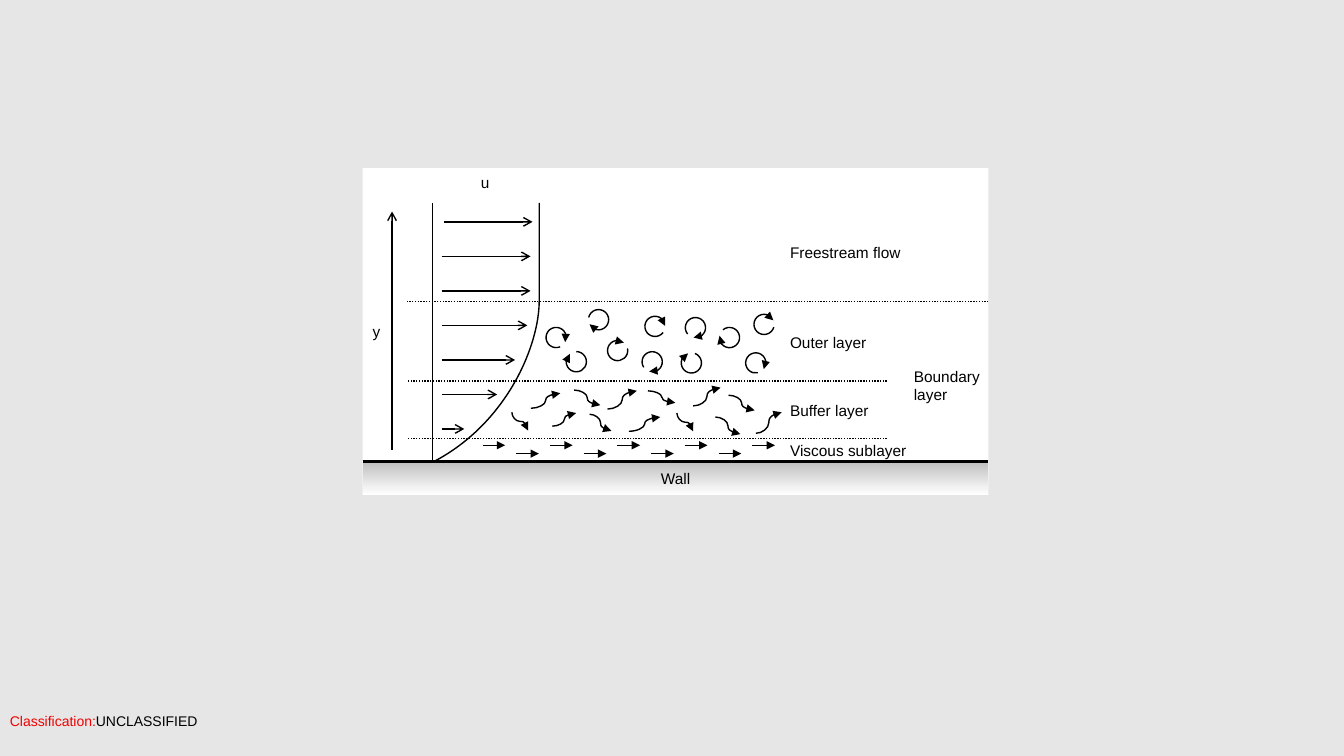
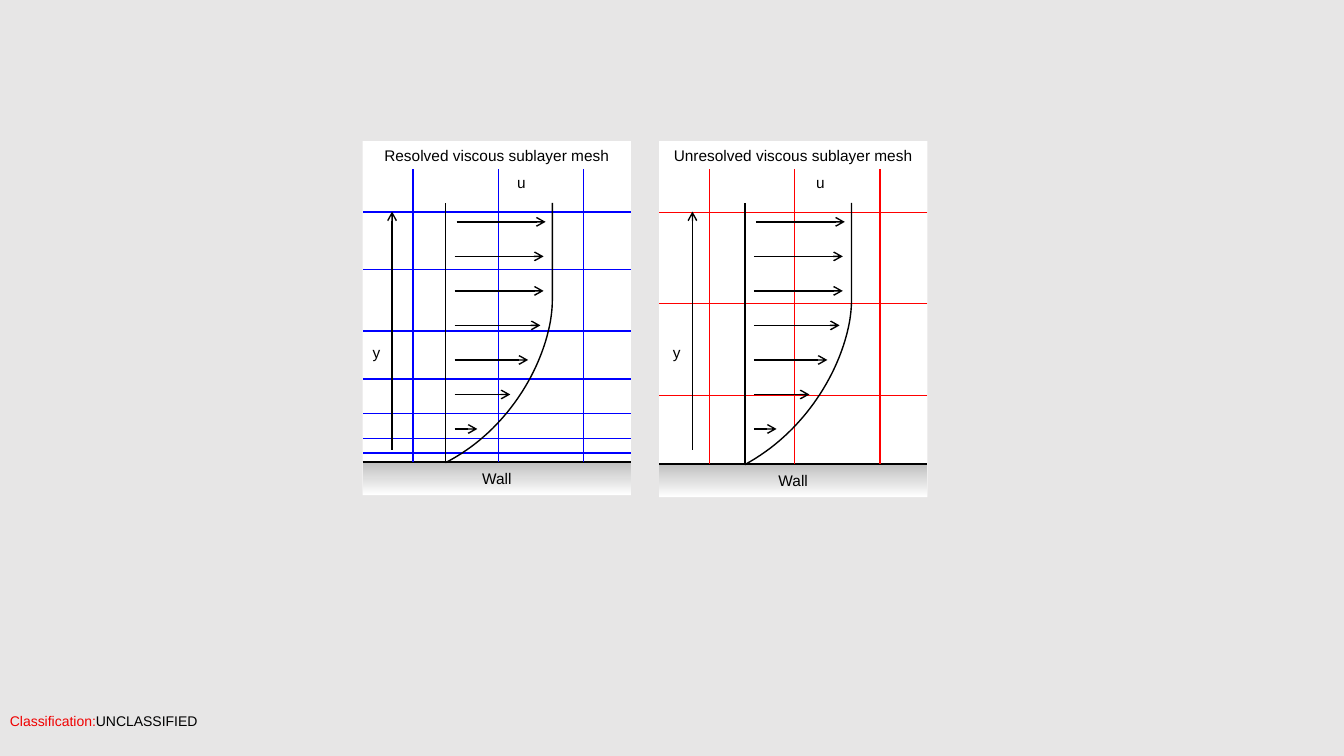
from collections import namedtuple

from lxml import etree
from pptx import Presentation
from pptx.dml.color import RGBColor
from pptx.enum import dml, shapes as kinds, text
from pptx.oxml import ns
from pptx.util import Cm, Pt

BLACK = RGBColor(0x00, 0x00, 0x00)
WHITE = RGBColor(0xFF, 0xFF, 0xFF)
BACKGROUND = RGBColor(0xE7, 0xE6, 0xE6)
WALL_GREY = RGBColor(0xBF, 0xBF, 0xBF)
MESH_BLUE = RGBColor(0x00, 0x00, 0xFF)
MESH_RED = RGBColor(0xFF, 0x00, 0x00)
MARKING_RED = RGBColor(0xF0, 0x00, 0x00)
FONT = "Arial"
SLIDE_WIDTH, SLIDE_HEIGHT = 33.87, 19.05
WALL_HEIGHT = 0.84
LABEL_HEIGHT = 0.74
PROFILE_TOP = 5.11

Box = namedtuple("Box", "left top width height")

FLOW_LABELS = [
    (10.52, 1.75, 3.33, "Freestream flow"),
    (13.64, 4.88, 2.29, "Boundary\nlayer"),
    (10.52, 4.01, 2.44, "Outer layer"),
    (10.52, 6.73, 3.48, "Viscous sublayer"),
    (10.52, 5.72, 2.51, "Buffer layer"),
]
LAYER_LIMITS = [(3.35, 15.77), (5.36, 13.21), (6.81, 13.21)]
EDDIES = [
    (9.86, 3.68, 105.9), (8.99, 4.01, 320.1), (9.65, 4.65, 167.5),
    (8.13, 3.76, 230.4), (8.03, 4.65, 20.6), (7.11, 3.73, 126.8),
    (6.17, 4.34, 78.2), (7.04, 4.62, 236.9), (5.69, 3.56, 283),
    (5.13, 4.62, 0), (4.62, 4.01, 157),
]
BUFFER_STREAKS = [
    (4.24, 6.05, 0.74, -0.38), (5.33, 5.59, 0.66, 0.38),
    (4.78, 6.5, 0.6, -0.33), (6.17, 6.07, 0.74, -0.46),
    (5.72, 6.2, 0.55, 0.42), (7.19, 5.61, 0.69, 0.3),
    (6.71, 6.63, 0.79, -0.36), (8.33, 5.99, 0.69, -0.46),
    (9.22, 5.72, 0.66, 0.38), (8.89, 6.27, 0.63, 0.43),
    (9.91, 6.68, 0.65, -0.53),
]
STEEP_STREAKS = [(3.76, 6.15, 0.41, 0.46), (7.92, 6.17, 0.41, 0.46)]
VELOCITIES = [2.24, 2.24, 2.24, 2.16, 1.85, 1.4, 0.57]


def write_run(paragraph, content, size=11, color=BLACK):
    run = paragraph.add_run()
    run.text = content
    run.font.name = FONT
    run.font.size = Pt(size)
    run.font.color.rgb = color


def add_label(shapes, box, content, align=text.PP_ALIGN.LEFT,
              anchor=text.MSO_ANCHOR.TOP, wrap=False):
    label = shapes.add_textbox(*map(Cm, box))
    frame = label.text_frame
    frame.word_wrap = wrap
    frame.vertical_anchor = anchor
    for index, line in enumerate(content.split("\n")):
        paragraph = frame.add_paragraph() if index else frame.paragraphs[0]
        paragraph.alignment = align
        write_run(paragraph, line)


def format_line(shape, color=BLACK, width=1, head=None, dash=None):
    shape.line.color.rgb = color
    shape.line.width = Pt(width)
    if dash:
        shape.line.dash_style = dash
    if head:
        outline = shape.line._get_or_add_ln()
        etree.SubElement(outline, ns.qn("a:tailEnd"), type=head)


def add_line(shapes, start, end, kind=kinds.MSO_CONNECTOR.STRAIGHT, **style):
    connector = shapes.add_connector(kind, *map(Cm, (*start, *end)))
    format_line(connector, **style)
    etree.SubElement(connector._element.spPr, ns.qn("a:effectLst"))
    return connector


def add_rectangle(shapes, box):
    rectangle = shapes.add_shape(kinds.MSO_SHAPE.RECTANGLE, *map(Cm, box))
    rectangle.shadow.inherit = False
    rectangle.line.fill.background()
    return rectangle


def add_panel(shapes, box):
    panel = add_rectangle(shapes, box)
    panel.fill.solid()
    panel.fill.fore_color.rgb = WHITE
    wall_top = box.top + box.height - WALL_HEIGHT
    wall = add_rectangle(shapes, Box(box.left, wall_top, box.width, WALL_HEIGHT))
    wall.fill.gradient()
    wall.fill.gradient_angle = 270
    for stop, color in zip(wall.fill.gradient_stops, (WALL_GREY, WHITE)):
        stop.color.rgb = color
    wall.text_frame.vertical_anchor = text.MSO_ANCHOR.MIDDLE
    paragraph = wall.text_frame.paragraphs[0]
    paragraph.alignment = text.PP_ALIGN.CENTER
    write_run(paragraph, "Wall")
    add_line(shapes, (box.left, wall_top), (box.left + box.width, wall_top), width=1.5)
    return wall_top


def cubic_points(controls, steps=40):
    for step in range(1, steps + 1):
        t = step / steps
        weights = ((1 - t) ** 3, 3 * t * (1 - t) ** 2, 3 * t * t * (1 - t), t ** 3)
        yield tuple(sum(w * point[axis] for w, point in zip(weights, controls))
                    for axis in (0, 1))


def add_velocity_profile(shapes, axis, top, wall_top, u_offset):
    add_line(shapes, (axis, wall_top), (axis, top))
    edge = axis + 2.69
    bend = (edge, top + 2.46)
    controls = (bend, (edge, top + 3.66), (axis + 1.82, top + 5.61), (axis, wall_top + 0.02))
    builder = shapes.build_freeform(Cm(edge), Cm(top))
    points = [bend, *cubic_points(controls)]
    builder.add_line_segments([(Cm(x), Cm(y)) for x, y in points], close=False)
    curve = builder.convert_to_shape()
    curve.shadow.inherit = False
    curve.fill.background()
    format_line(curve)
    for index, length in enumerate(VELOCITIES):
        start = axis + (0.23 if index else 0.28)
        height = top + 0.48 + 0.87 * index
        add_line(shapes, (start, height), (start + length, height), head="arrow")
    add_label(shapes, Box(axis + u_offset, top - 0.86, 0.74, LABEL_HEIGHT), "u")


def add_height_axis(shapes, x, top, label_offset):
    add_line(shapes, (x, top + 6.22), (x, top + 0.22), head="arrow")
    add_label(shapes, Box(x - 0.74, top + label_offset, 0.71, LABEL_HEIGHT), "y")


def add_layers(shapes, box):
    for left, top, width, content in FLOW_LABELS:
        height = LABEL_HEIGHT + 0.45 * content.count("\n")
        add_label(shapes, Box(box.left + left, box.top + top, width, height), content,
                  anchor=text.MSO_ANCHOR.MIDDLE)
    for offset, right in LAYER_LIMITS:
        y = box.top + offset
        add_line(shapes, (box.left + right, y), (box.left + 1.12, y),
                 dash=dml.MSO_LINE.ROUND_DOT)


def add_eddies(shapes, box):
    for left, top, rotation in EDDIES:
        place = Box(box.left + left, box.top + top, 0.51, 0.51)
        eddy = shapes.add_shape(kinds.MSO_SHAPE.ARC, *map(Cm, place))
        eddy.adjustments[0] = 162
        eddy.adjustments[1] = 138.13
        eddy.rotation = rotation
        eddy.shadow.inherit = False
        eddy.fill.background()
        format_line(eddy, head="triangle")


def add_streaks(shapes, box):
    curved = {"kind": kinds.MSO_CONNECTOR.CURVE, "head": "triangle"}
    for left, top, run, rise in BUFFER_STREAKS:
        x, y = box.left + left, box.top + top
        add_line(shapes, (x, y), (x + run, y + rise), **curved)
    for left, top, run, rise in STEEP_STREAKS:
        x, y = box.left + left + run / 2, box.top + top + rise / 2
        streak = add_line(shapes, (x + rise / 2, y - run / 2),
                          (x - rise / 2, y + run / 2), **curved)
        streak._element.spPr.xfrm.set("rot", str(270 * 60000))
    for index in range(9):
        x = box.left + 3.02 + 0.85 * index
        y = box.top + (7.19 if index % 2 else 6.98)
        add_line(shapes, (x, y), (x + 0.57, y), head="triangle")


def add_mesh(shapes, box, wall_top, rows, color):
    for row in rows:
        y = box.top + row
        add_line(shapes, (box.left + box.width, y), (box.left, y), color=color)
    for column in range(3):
        x = box.left + 1.27 + 2.15 * column
        add_line(shapes, (x, wall_top), (x, box.top + 0.7), color=color)


def add_mesh_panel(slide, box, title, rows, color, axis, height_axis):
    shapes = slide.shapes.add_group_shape().shapes
    wall_top = add_panel(shapes, box)
    add_mesh(shapes, box, wall_top, rows, color)
    add_label(shapes, box._replace(height=LABEL_HEIGHT), title,
              align=text.PP_ALIGN.CENTER, wrap=True)
    add_velocity_profile(shapes, box.left + axis, PROFILE_TOP, wall_top, 1.55)
    add_height_axis(shapes, box.left + height_axis, PROFILE_TOP, 3.4)


def add_classification(slide):
    marking = slide.shapes.add_textbox(Cm(0), Cm(17.65), Cm(SLIDE_WIDTH), Cm(1.02))
    frame = marking.text_frame
    frame.word_wrap = True
    frame.vertical_anchor = text.MSO_ANCHOR.MIDDLE
    write_run(frame.paragraphs[0], "Classification:", size=10, color=MARKING_RED)
    write_run(frame.paragraphs[0], "UNCLASSIFIED", size=10)


def build_boundary_layer_slide(slide):
    box = Box(9.14, 4.24, 15.77, 8.23)
    shapes = slide.shapes
    wall_top = add_panel(shapes, box)
    add_velocity_profile(shapes, box.left + 1.76, PROFILE_TOP, wall_top, 0.97)
    add_layers(shapes, box)
    add_height_axis(shapes, box.left + 0.74, PROFILE_TOP, 2.87)
    add_eddies(shapes, box)
    add_streaks(shapes, box)


def build_mesh_slide(slide):
    add_mesh_panel(slide, Box(9.14, 3.56, 6.76, 8.92), "Resolved viscous sublayer mesh",
                   (7.85, 7.49, 6.86, 5.99, 4.78, 3.23, 1.78), MESH_BLUE, 2.09, 0.74)
    add_mesh_panel(slide, Box(16.61, 3.56, 6.76, 8.97), "Unresolved viscous sublayer mesh",
                   (6.4, 4.09, 1.8), MESH_RED, 2.16, 0.84)


def main():
    presentation = Presentation()
    presentation.slide_width = Cm(SLIDE_WIDTH)
    presentation.slide_height = Cm(SLIDE_HEIGHT)
    background = presentation.slide_master.background.fill
    background.solid()
    background.fore_color.rgb = BACKGROUND
    blank = presentation.slide_layouts.get_by_name("Blank")
    for build in (build_boundary_layer_slide, build_mesh_slide):
        slide = presentation.slides.add_slide(blank)
        build(slide)
        add_classification(slide)
    presentation.save("out.pptx")


if __name__ == "__main__":
    main()
